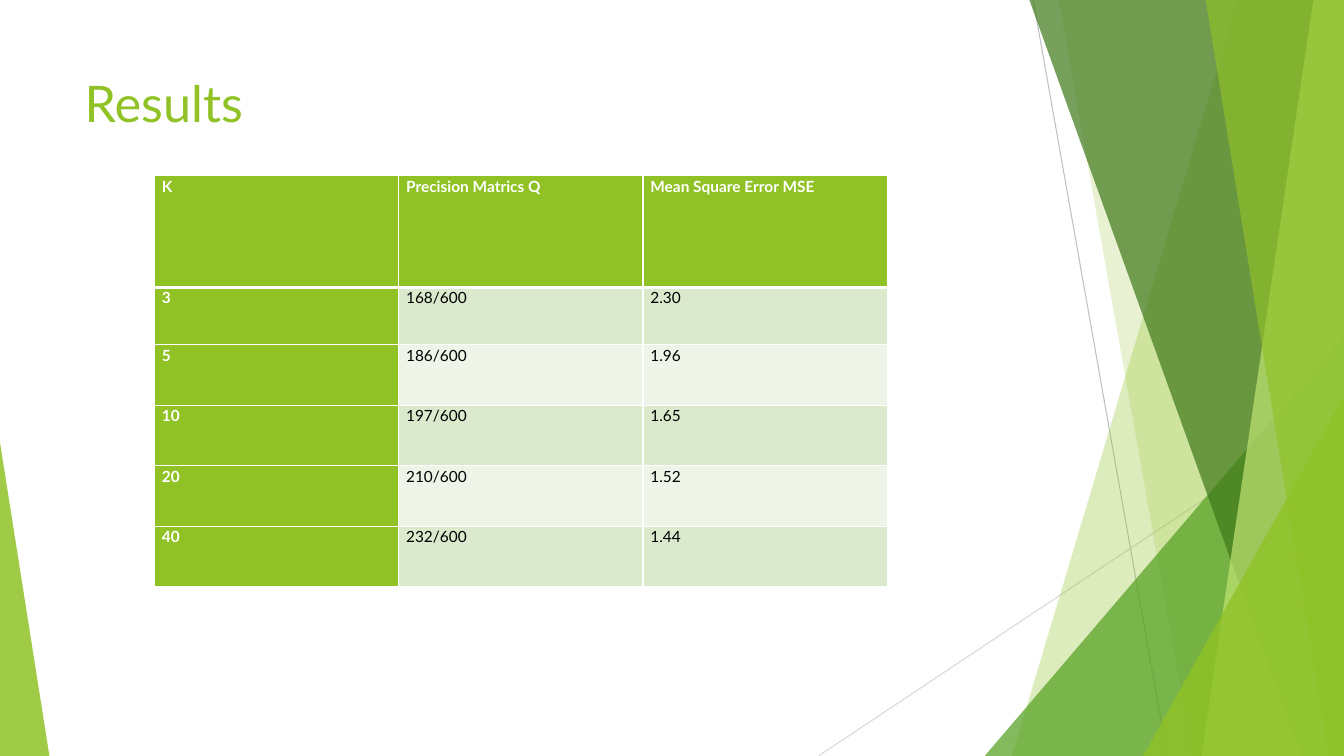
from lxml import etree
from pptx import Presentation
from pptx.dml.color import RGBColor
from pptx.enum.shapes import MSO_CONNECTOR, MSO_SHAPE
from pptx.enum.text import MSO_ANCHOR, PP_ALIGN
from pptx.oxml.ns import qn
from pptx.util import Pt

STRAIGHT = MSO_CONNECTOR.STRAIGHT
TRIANGLE = MSO_SHAPE.ISOSCELES_TRIANGLE
TOP, LEFT = MSO_ANCHOR.TOP, PP_ALIGN.LEFT

FONT = "Lato"
WHITE = RGBColor(0xFF, 0xFF, 0xFF)
BLACK = RGBColor(0x00, 0x00, 0x00)
LIME = RGBColor(0x90, 0xC2, 0x26)
PALE_LIME = RGBColor(0xC0, 0xE4, 0x74)
GREEN = RGBColor(0x54, 0xA0, 0x21)
DARK_GREEN = RGBColor(0x3F, 0x78, 0x19)
BAND_DARK = RGBColor(0xDB, 0xE9, 0xCD)
BAND_LIGHT = RGBColor(0xEE, 0xF4, 0xE8)
GRAY = RGBColor(0xBF, 0xBF, 0xBF)
LIGHT_GRAY = RGBColor(0xD9, 0xD9, 0xD9)
WIDTH, HEIGHT = 960, 540


def paint(shape, color, opacity):
    shape.shadow.inherit = False
    shape.line.fill.background()
    shape.fill.solid()
    shape.fill.fore_color.rgb = color
    clr = shape.fill._xPr.find(qn("a:solidFill"))[0]
    etree.SubElement(clr, qn("a:alpha"), val=str(opacity * 1000))


def add_border(cell, side, index, width):
    ln = etree.Element(qn(f"a:ln{side}"), w=str(Pt(width)))
    fill = etree.SubElement(ln, qn("a:solidFill"))
    etree.SubElement(fill, qn("a:srgbClr"), val=str(WHITE))
    cell._tc.get_or_add_tcPr().insert(index, ln)


prs = Presentation()
prs.slide_width, prs.slide_height = Pt(WIDTH), Pt(HEIGHT)
s = prs.slides.add_slide(prs.slide_layouts[5])

# Thin lines behind the facets
for x1, y1, x2, y2, color in [
    (738, 0, 833.8, HEIGHT, GRAY),
    (WIDTH, 290.2, 584.6, HEIGHT, LIGHT_GRAY),
]:
    line = s.shapes.add_connector(STRAIGHT, Pt(x1), Pt(y1), Pt(x2), Pt(y2))
    line.line.color.rgb = color
    line.line.width = Pt(0.75)
    etree.SubElement(line._element.spPr, qn("a:effectLst"))

# Facets, back to front: a band has its left edge's top and bottom x,
# a triangle has left, top, width and apex position
for outline, color, opacity in [
    ((884.2, 722.9), LIME, 30),
    ((756, 851.8), LIME, 20),
    ((703.4, 239.8, 256.6, 1), GREEN, 72),
    ((735.1, 929.5), DARK_GREEN, 70),
    ((938.2, 858.2), PALE_LIME, 70),
    ((861.1, 949), LIME, 65),
    ((816.5, 283, 143.5, 1), LIME, 80),
    ((0, 316.1, 35.3, 0), LIME, 85),
]:
    if len(outline) == 2:
        top_x, bottom_x = outline
        corners = [(WIDTH, -0.6), (WIDTH, HEIGHT), (bottom_x, HEIGHT)]
        builder = s.shapes.build_freeform(Pt(top_x), Pt(-0.6))
        builder.add_line_segments([(Pt(x), Pt(y)) for x, y in corners])
        facet = builder.convert_to_shape()
    else:
        x, y, w, apex = outline
        facet = s.shapes.add_shape(TRIANGLE, Pt(x), Pt(y), Pt(w), Pt(HEIGHT - y))
        facet.adjustments[0] = apex
    paint(facet, color, opacity)

# Title
title = s.shapes.title
title.left, title.top, title.width, title.height = Pt(53.3), Pt(48.2), Pt(676.8), Pt(103.7)
tf = title.text_frame
tf.text = "Results"
tf.vertical_anchor = TOP
p = tf.paragraphs[0]
p.alignment = LEFT
p.font.name, p.font.size, p.font.color.rgb = FONT, Pt(36), LIME

# Results table
results = [
    ("K", "Precision Matrics Q", "Mean Square Error MSE"),
    ("3", "168/600", "2.30"),
    ("5", "186/600", "1.96"),
    ("10", "197/600", "1.65"),
    ("20", "210/600", "1.52"),
    ("40", "232/600", "1.44"),
]
row_heights = [79.9, 41] + [43.2] * 4
table = s.shapes.add_table(len(results), 3, Pt(110.4), Pt(125.4),
                           Pt(523.5), Pt(sum(row_heights))).table
for column in table.columns:
    column.width = Pt(174.5)
for r, (values, height) in enumerate(zip(results, row_heights)):
    table.rows[r].height = Pt(height)
    for c, value in enumerate(values):
        cell = table.cell(r, c)
        heading = r == 0 or c == 0
        cell.text = value
        cell.margin_left = cell.margin_right = Pt(5.2)
        cell.margin_top = cell.margin_bottom = 0
        p = cell.text_frame.paragraphs[0]
        p.line_spacing = 1.07
        p.font.name, p.font.size, p.font.bold = FONT, Pt(11), heading
        p.font.color.rgb = WHITE if heading else BLACK
        cell.fill.solid()
        cell.fill.fore_color.rgb = LIME if heading else BAND_DARK if r % 2 else BAND_LIGHT
        # The rule under the header row is thicker
        widths = {"L": 1, "R": 1, "T": 3 if r == 1 else 1, "B": 3 if r == 0 else 1}
        for index, (side, width) in enumerate(widths.items()):
            add_border(cell, side, index, width)

prs.save("out.pptx")
